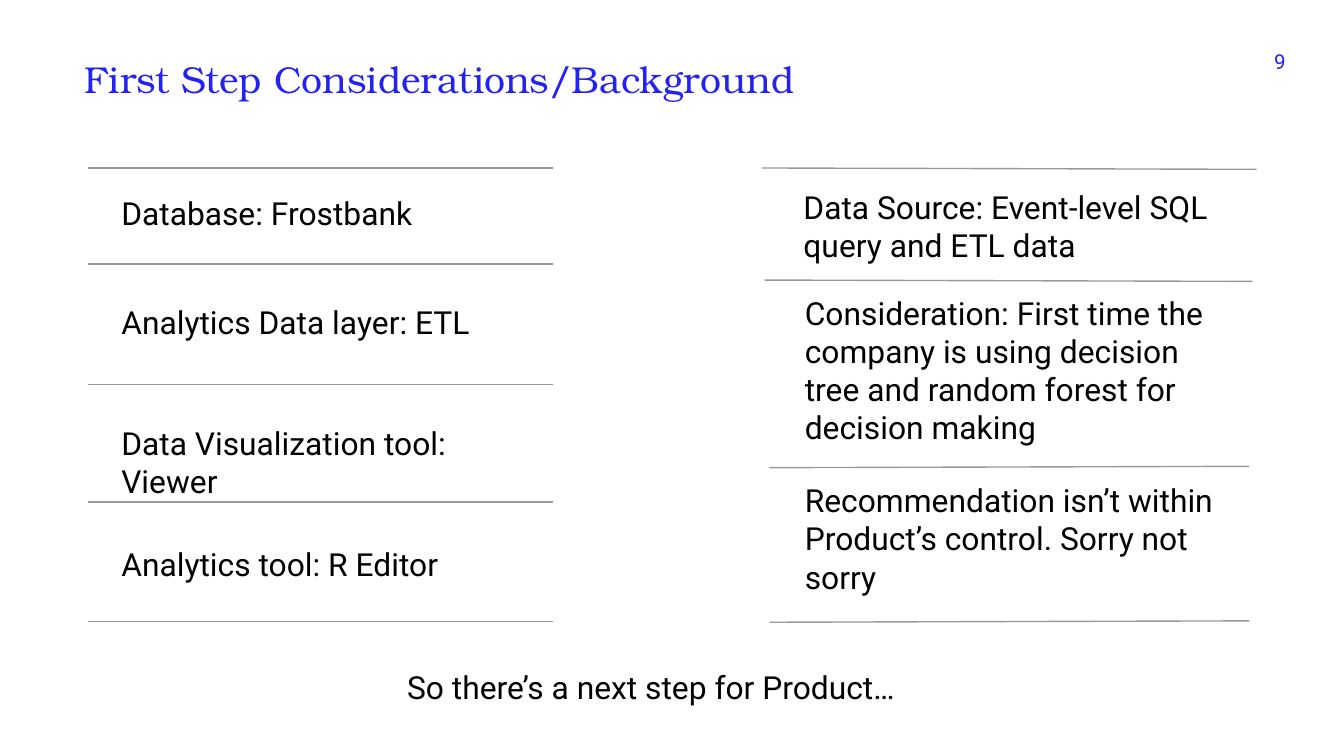
from pptx import Presentation
from pptx.dml.color import RGBColor
from pptx.enum.shapes import MSO_CONNECTOR
from pptx.enum.text import MSO_ANCHOR, PP_ALIGN
from pptx.oxml.ns import qn
from pptx.util import Inches, Pt

LEFT, CENTER, RIGHT = PP_ALIGN.LEFT, PP_ALIGN.CENTER, PP_ALIGN.RIGHT
TOP = MSO_ANCHOR.TOP
STRAIGHT = MSO_CONNECTOR.STRAIGHT
CELL = 0.1  # grid step in inches: 100 columns by 56.25 rows


def rgb(value):
    return RGBColor.from_string(value)


def grid(*cells):
    return [Inches(n * CELL) for n in cells]


def write(tf, text, size=17, font="Roboto", color="000000", align=LEFT):
    p = tf.paragraphs[0]
    p.alignment = align
    r = p.add_run()
    r.text = text
    r.font.size = Pt(size)
    r.font.name = font
    r.font.color.rgb = rgb(color)


class Deck:
    """Holds the style and the current slide; lengths are grid cells."""

    accent, rule_color, serif = "2322EF", "999999", "TeX Gyre Bonum"

    def __init__(self, columns, rows):
        self.prs = Presentation()
        self.prs.slide_width, self.prs.slide_height = grid(columns, rows)
        self.s = self.prs.slides.add_slide(self.prs.slide_layouts[6])

    def text(self, x, y, w, h, text, **fmt):
        tf = self.s.shapes.add_textbox(*grid(x, y, w, h)).text_frame
        tf.word_wrap = True
        tf.vertical_anchor = TOP
        tf.margin_left = tf.margin_right = Inches(0.1)
        tf.margin_top = tf.margin_bottom = Inches(0.1)
        write(tf, text, **fmt)

    def rule(self, x1, y1, x2, y2):
        line = self.s.shapes.add_connector(STRAIGHT, *grid(x1, y1, x2, y2))
        line.line.color.rgb = rgb(self.rule_color)
        line.line.width = Pt(0.75)
        sp_pr = line._element.spPr
        sp_pr.append(sp_pr.makeelement(qn("a:effectLst"), {}))


def main():
    deck = Deck(100, 56.25)

    # Heading and page number
    deck.text(5.3, 3.2, 63.6, 3.7, "First Step Considerations/Background",
              size=20, font=deck.serif, color=deck.accent)
    deck.text(92.85, 2.75, 3.8, 1.9, "9", size=11, color=deck.accent,
              align=RIGHT)

    # Left column: tools between level rules
    for y in (12.5, 19.64, 28.6, 37.34, 46.24):
        deck.rule(6.54, y, 41.14, y)
    tools = [
        (13.4, 25.2, "Database: Frostbank"),
        (21.54, 28.8, "Analytics Data layer: ETL"),
        (30.5, 33.5, "Data Visualization tool: Viewer"),
        (39.54, 30.8, "Analytics tool: R Editor"),
    ]
    for y, w, label in tools:
        deck.text(8.04, y, w, 4.2, label)

    # Right column: notes between slightly tilted rules
    for x1, y1, x2, y2 in ((56.7, 12.5, 93.5, 12.6),
                           (56.9, 20.84, 93.2, 20.94),
                           (57.24, 34.8, 92.94, 34.7),
                           (57.24, 46.3, 92.94, 46.2)):
        deck.rule(x1, y1, x2, y2)
    notes = [
        (58.8, 12.94, 34.6, 4.1,
         "Data Source: Event-level SQL query and ETL data"),
        (58.9, 20.84, 32.4, 12.1,
         "Consideration: First time the company is using decision tree "
         "and random forest for decision making"),
        (58.9, 34.8, 32.4, 11,
         "Recommendation isn’t within Product’s control. Sorry not sorry"),
    ]
    for x, y, w, h, note in notes:
        deck.text(x, y, w, h, note)

    # Closing line
    deck.text(18.5, 48.7, 59.9, 4.2, "So there’s a next step for Product…",
              align=CENTER)

    deck.prs.save("out.pptx")


if __name__ == "__main__":
    main()
